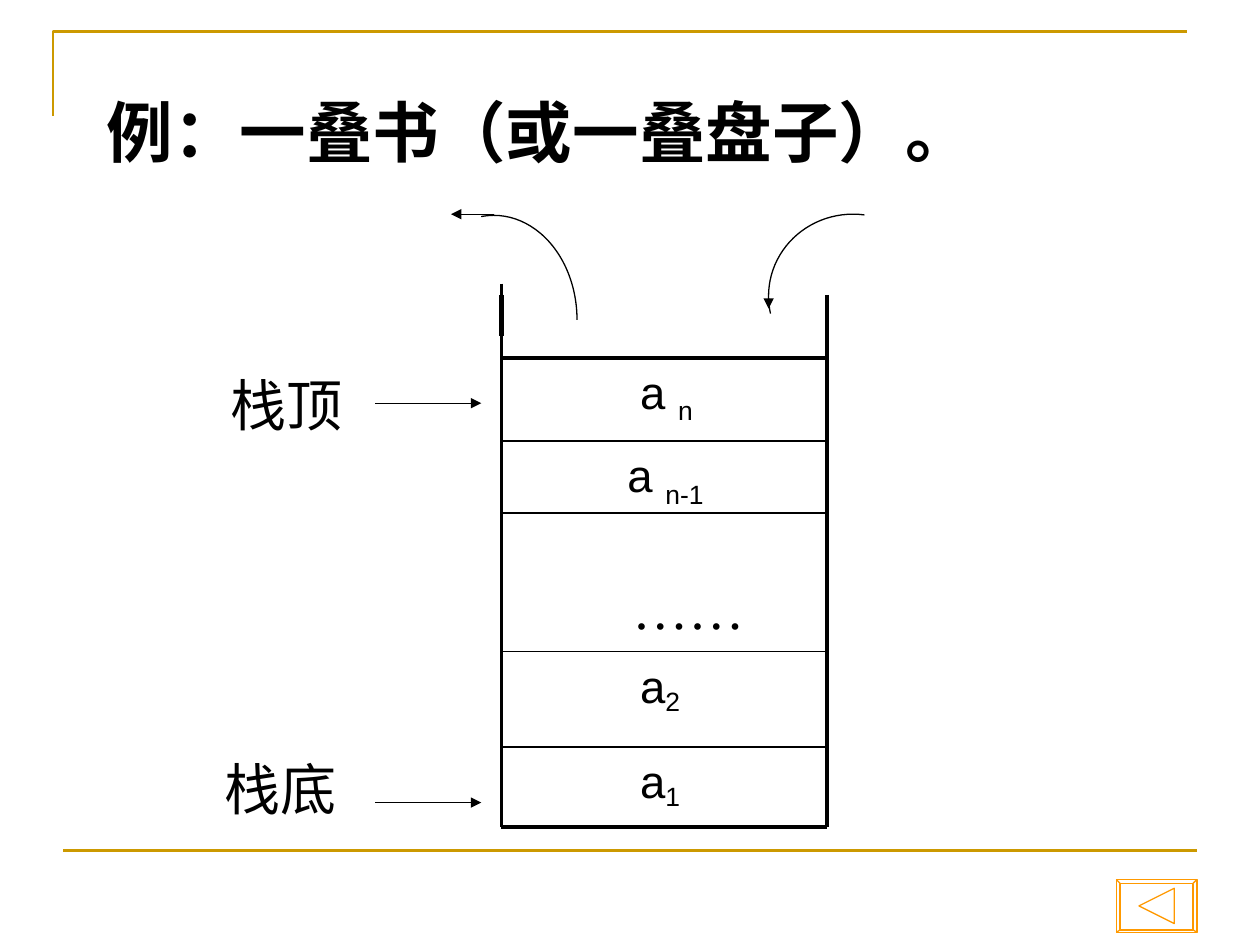
from pptx import Presentation
from pptx.dml.color import RGBColor as RGB
from pptx.enum.shapes import MSO_CONNECTOR as Conn, MSO_SHAPE as Shape
from pptx.oxml.ns import qn
from pptx.util import Inches, Pt
from lxml.etree import SubElement as sub

BLACK, GOLD, ORANGE = "000000", "CC9900", "FF9900"

deck = Presentation()
deck.slide_width, deck.slide_height = Inches(10), Inches(7.5)
page = deck.slides.add_slide(deck.slide_layouts[6])
shapes = page.shapes


def ink(x1, y1, x2, y2, width, color=BLACK, arrow=False):
    line = shapes.add_connector(Conn.STRAIGHT, Inches(x1), Inches(y1), Inches(x2), Inches(y2))
    line.line.color.rgb = RGB.from_string(color)
    line.line.width = Pt(width)
    if arrow:
        sub(line.line._get_or_add_ln(), qn("a:tailEnd"), type="triangle")
    sub(line._element.spPr, qn("a:effectLst"))


def label(x, y, w, h, runs, size, face, bold=False, inset=0.1):
    box = shapes.add_textbox(Inches(x), Inches(y), Inches(w), Inches(h))
    frame = box.text_frame
    frame.word_wrap = True
    frame.margin_left = Inches(inset)
    para = frame.paragraphs[0]
    for words, base in runs:
        run = para.add_run()
        run.text = words
        font = run.font
        font.size, font.name, font.bold = Pt(size), face, bold
        font.color.rgb = RGB.from_string(BLACK)
        if base:
            font._element.set("baseline", str(base * 1000))


# Gold frame
pen = shapes.build_freeform(Inches(0.42), Inches(0.92))
pen.add_line_segments([(Inches(0.42), Inches(0.25)), (Inches(9.42), Inches(0.25))], close=False)
frame = pen.convert_to_shape()
frame.shadow.inherit = False
frame.fill.background()
frame.line.color.rgb = RGB.from_string(GOLD)
frame.line.width = Pt(1.5)
ink(0.5, 6.75, 9.5, 6.75, 1.5, GOLD)

# Title
label(0.75, 0.67, 8.5, 6, [("例：一叠书（或一叠盘子）。", 0)], 38, "Arial", True)

# Pop and push curves: box, then start and end angle in degrees
for x, y, w, h, start, end in [(3.26, 1.71, 1.32, 1.66, 263, 0),
                               (6.1, 1.7, 1.34, 1.3, 168, 278)]:
    arc = shapes.add_shape(Shape.ARC, Inches(x), Inches(y), Inches(w), Inches(h))
    arc.adjustments[0], arc.adjustments[1] = start * 0.6, end * 0.6
    arc.shadow.inherit = False
    arc.fill.background()
    arc.line.color.rgb = RGB.from_string(BLACK)
    arc.line.width = Pt(0.75)
ink(3.92, 1.7, 3.58, 1.7, 0.75, arrow=True)
ink(6.1, 2.29, 6.1, 2.45, 0.75, arrow=True)

# Stack cells: top, height, name, index, baseline, inset
left, right, top, base = 3.98, 6.56, 2.84, 6.56
cells = [(2.84, 0.67, "a ", "n", -25, 1.1),
         (3.5, 0.57, "a ", "n-1", -25, 1),
         (5.17, 0.76, "a", "2", -18, 1.1),
         (5.93, 0.63, "a", "1", -18, 1.1)]
for y, h, name, index, drop, inset in cells:
    label(left, y, right - left, h, [(name, 0), (index, drop)], 26, "Arial", inset=inset)
label(4.92, 4.5, 1.14, 0.64, [("……", 0)], 32, "Times New Roman")

# Stack rules and walls
for y in (top, 3.5, 4.07, 5.17, 5.93, base):
    ink(left, y, right, y, 2.25 if y in (top, base) else 1)
for x, rim in [(left, 2.25), (right, 2.34)]:
    ink(x, top, x, base, 2.25)
    ink(x, rim, x, 3.17, 2.25)
ink(left, 2.34, left, 2.67, 2.75)

# Pointers to top and bottom
for words, x, y, w, tip in [("栈顶", 1.73, 2.89, 1.12, 3.2),
                            ("栈底", 1.68, 5.94, 1.14, 6.37)]:
    ink(2.98, tip, 3.82, tip, 0.75, arrow=True)
    label(x, y, w, 0.64, [(words, 0)], 32, "Times New Roman")

# Back button: outer and inner edge, corner bevels, triangle
outer = [(8.86, 6.98), (9.5, 6.98), (9.5, 7.4), (8.86, 7.4)]
inner = [(8.89, 7.01), (9.47, 7.01), (9.47, 7.38), (8.89, 7.38)]
parts = [outer, inner, *zip(outer, inner), [(9.04, 7.19), (9.32, 7.05), (9.32, 7.33)]]
pen = shapes.build_freeform(Inches(8.86), Inches(6.98))
for part in parts:
    spots = [(Inches(x), Inches(y)) for x, y in part]
    pen.move_to(*spots[0])
    pen.add_line_segments(spots[1:], close=len(spots) > 2)
back = pen.convert_to_shape()
back.shadow.inherit = False
back.fill.background()
back.line.color.rgb = RGB.from_string(ORANGE)
back.line.width = Pt(0.75)

deck.save("out.pptx")
